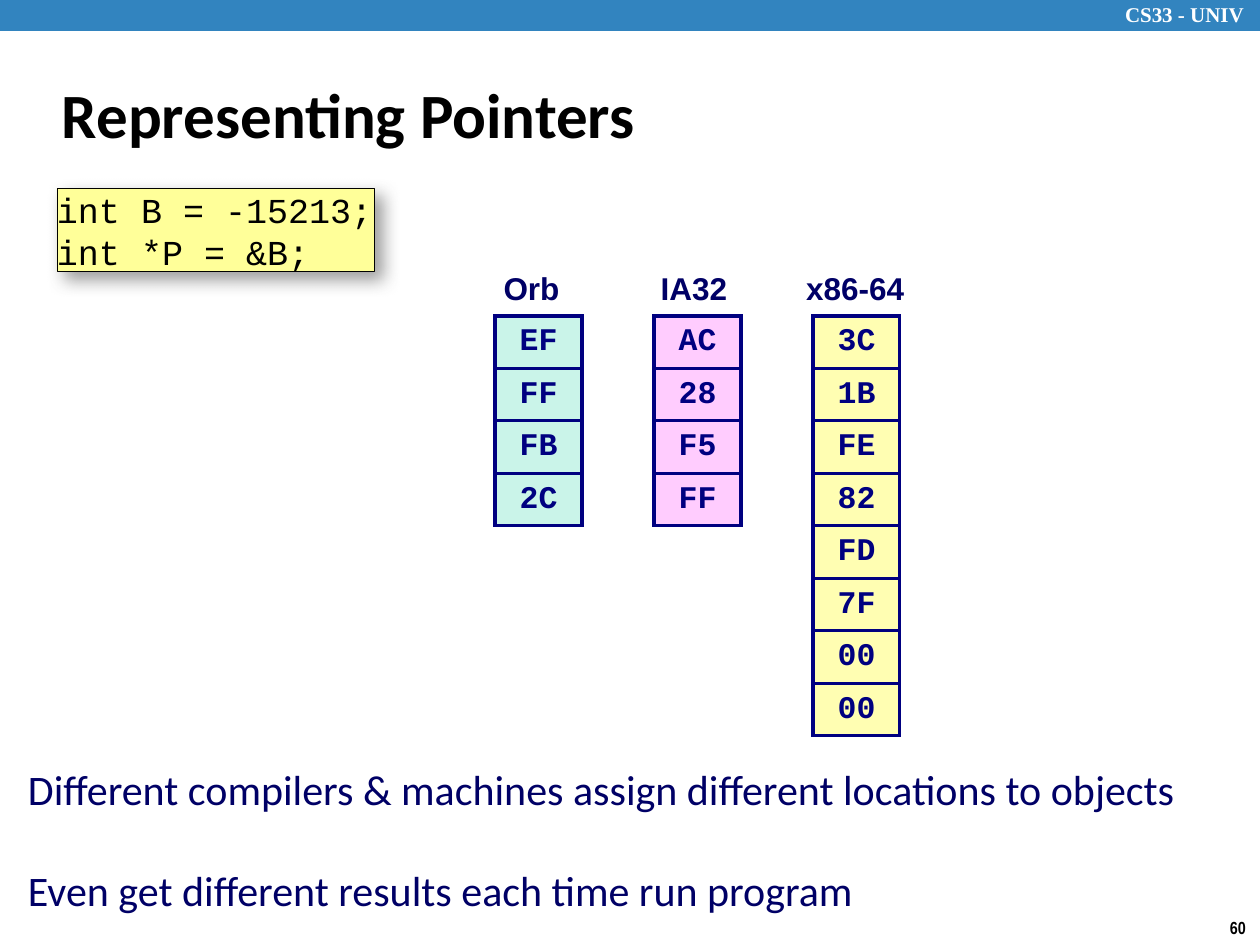
"""Build the Representing Pointers slide."""
from lxml.etree import SubElement
from pptx import Presentation
from pptx.dml.color import RGBColor
from pptx.enum.shapes import MSO_SHAPE
from pptx.enum.text import MSO_ANCHOR, PP_ALIGN
from pptx.oxml import parse_xml
from pptx.oxml.ns import nsdecls, qn
from pptx.util import Pt

SCALE = 914400 / 126
COLORS = {
    "bar": "3284BF", "white": "FFFFFF", "black": "000000", "navy": "000066",
    "border": "000080", "code": "FFFF99", "shadow": "808080",
    "mint": "CAF4E9", "pink": "FFCCFE", "cream": "FFFEB2",
}


def px(*lengths):
    return [round(length * SCALE) for length in lengths]


def write(frame, lines, font, size, color, bold=False, align=PP_ALIGN.LEFT,
          insets=(13, 6, 13, 6), wrap=True, anchor=MSO_ANCHOR.TOP):
    frame.text = "\n".join(lines)
    frame.word_wrap = wrap
    frame.vertical_anchor = anchor
    frame.margin_left, frame.margin_top, frame.margin_right, frame.margin_bottom = px(*insets)
    for para in frame.paragraphs:
        para.alignment = align
        for span in para.runs:
            span.font.name = font
            span.font.size = Pt(size)
            span.font.bold = bold
            span.font.color.rgb = RGBColor.from_string(COLORS[color])


deck = Presentation()
deck.slide_width, deck.slide_height = px(1260, 945)
page = deck.slides.add_slide(deck.slide_layouts[6])
shapes = page.shapes

bar = shapes.add_shape(MSO_SHAPE.RECTANGLE, *px(0, 0, 1260, 31))
bar.shadow.inherit = False
bar.fill.solid()
bar.fill.fore_color.rgb = RGBColor.from_string(COLORS["bar"])
bar.line.fill.background()

course = shapes.add_textbox(*px(1112, -4, 156, 38))
write(course.text_frame, ["CS33 - UNIV"], "Times New Roman", 12, "white", bold=True)

number = shapes.add_textbox(*px(1217, 911, 43, 34))
write(number.text_frame, ["60"], "Arial Narrow", 10, "black", bold=True, wrap=False)

title = shapes.add_textbox(*px(49, 61, 1046, 104))
write(title.text_frame, ["Representing Pointers"], "Calibri", 36, "black", bold=True,
      anchor=MSO_ANCHOR.MIDDLE)

notes = shapes.add_textbox(*px(21, 756, 1218, 93))
write(notes.text_frame,
      ["Different compilers & machines assign different locations to objects",
       "Even get different results each time run program"],
      "Calibri", 24, "navy", insets=(7, 7, 13, 7))
notes.text_frame.paragraphs[1].space_before = Pt(29)

code = shapes.add_shape(MSO_SHAPE.RECTANGLE, *px(57, 188, 318, 84))
code.shadow.inherit = False
code.fill.solid()
code.fill.fore_color.rgb = RGBColor.from_string(COLORS["code"])
code.line.color.rgb = RGBColor.from_string(COLORS["black"])
code.line.width = Pt(0.5)
code.element.spPr.find(qn("a:effectLst")).append(parse_xml(
    f'<a:outerShdw {nsdecls("a")} blurRad="{Pt(10)}" dist="{Pt(6)}" dir="2700000">'
    f'<a:srgbClr val="{COLORS["shadow"]}"><a:alpha val="75000"/></a:srgbClr></a:outerShdw>'))
write(code.text_frame, ["int B = -15213;", "int *P = &B;"], "Courier New", 20, "black",
      insets=(0, 0, 0, 0), wrap=False)

machines = [
    ("Orb", 494, 81, "mint", "EF FF FB 2C"),
    ("IA32", 653, 88, "pink", "AC 28 F5 FF"),
    ("x86-64", 798, 120, "cream", "3C 1B FE 82 FD 7F 00 00"),
]
for index, (name, label_left, label_width, fill, data) in enumerate(machines):
    label = shapes.add_textbox(*px(label_left, 262, label_width, 53))
    write(label.text_frame, [name], "Arial", 18, "navy", bold=True, align=PP_ALIGN.CENTER,
          insets=(7, 7, 13, 7), wrap=False)

    values = data.split()
    row_height = px(420)[0] // 8
    left, top, width = px(495 + 159 * index, 316, 87)
    table = shapes.add_table(len(values), 1, left, top, width, row_height * len(values)).table
    table.first_row = table.horz_banding = False
    for row, value in enumerate(values):
        table.rows[row].height = row_height
        cell = table.cell(row, 0)
        write(cell.text_frame, [value], "Courier New", 18, "border", bold=True,
              align=PP_ALIGN.CENTER)
        cell.vertical_anchor = MSO_ANCHOR.MIDDLE
        cell.margin_left, cell.margin_top, cell.margin_right, cell.margin_bottom = px(7, 7, 7, 7)
        properties = cell._tc.get_or_add_tcPr()
        for side in ("a:lnL", "a:lnR", "a:lnT", "a:lnB"):
            edge = SubElement(properties, qn(side), w=str(Pt(2)))
            paint = SubElement(edge, qn("a:solidFill"))
            SubElement(paint, qn("a:srgbClr"), val=COLORS["border"])
        cell.fill.solid()
        cell.fill.fore_color.rgb = RGBColor.from_string(COLORS[fill])

deck.save("out.pptx")
